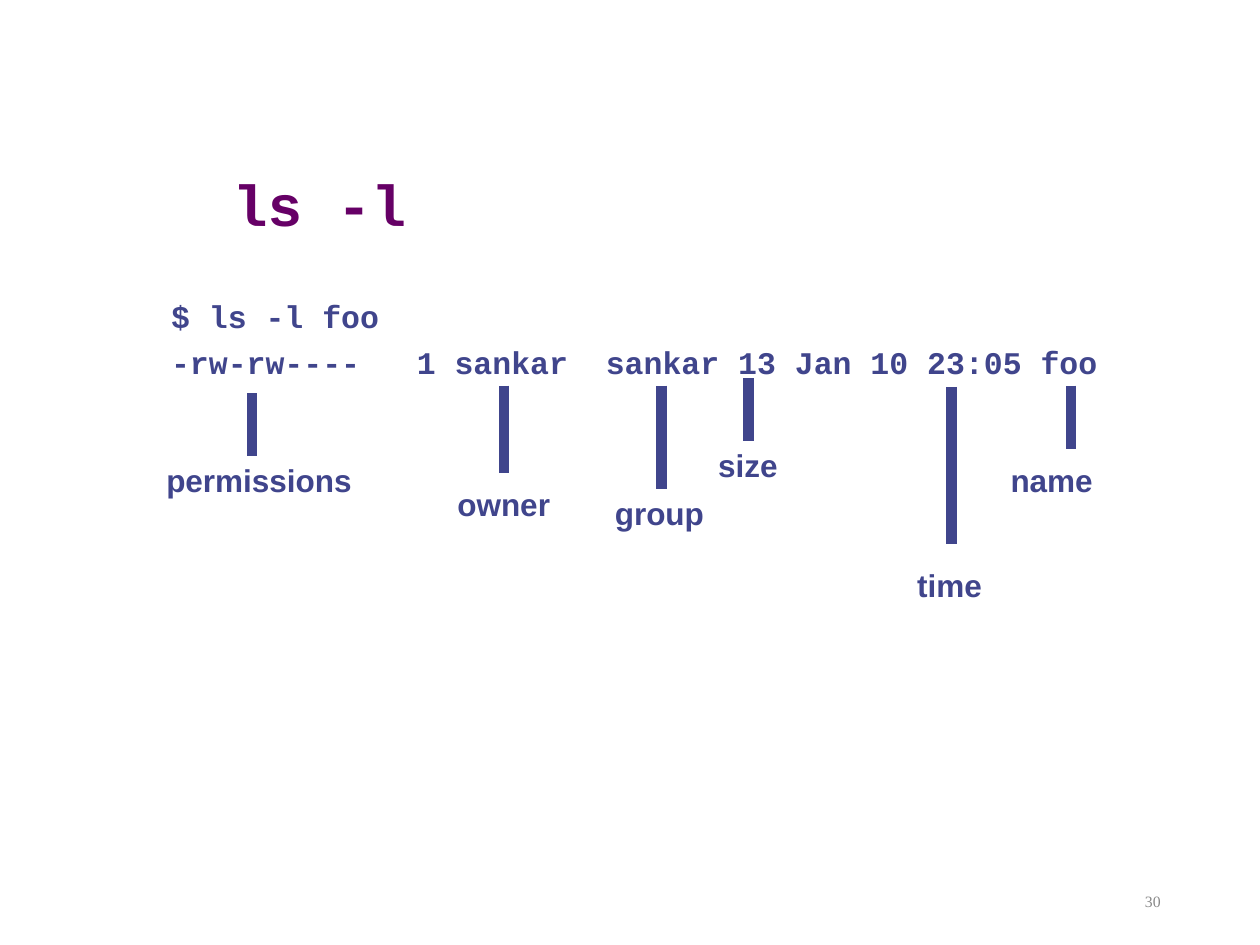
from pptx import Presentation
from pptx import util as u
from pptx.dml.color import RGBColor
from pptx.enum import shapes, text
from pptx.oxml import xmlchemy

PURPLE = RGBColor(0x66, 0x00, 0x66)
INDIGO = RGBColor(0x40, 0x45, 0x8C)
GREY = RGBColor(0x89, 0x89, 0x89)

TITLE_FONT = {"name": "Courier New", "size": u.Pt(33), "bold": True}
CODE_FONT = {"name": "Courier New", "size": u.Pt(18), "bold": True}
LABEL_FONT = {"name": "Arial", "size": u.Pt(18), "bold": True}
NUMBER_FONT = {"name": "Times New Roman", "size": u.Pt(9)}

LISTING = ["$ ls -l foo", "-rw-rw----   1 sankar  sankar 13 Jan 10 23:05 foo"]

# label, label box (left, top, width), pointer (x, top, bottom)
FIELDS = [
    ("permissions", (1.25, 3.62, 1.64), (2, 3.12, 3.62)),
    ("owner", (3.56, 3.81, 0.89), (4, 3.06, 3.75)),
    ("group", (4.81, 3.88, 0.86), (5.25, 3.06, 3.88)),
    ("size", (5.63, 3.5, 0.62), (5.94, 3, 3.5)),
    ("time", (7.21, 4.45, 0.67), (7.55, 3.07, 4.32)),
    ("name", (7.95, 3.62, 0.81), (8.5, 3.06, 3.56)),
]
LABEL_HEIGHT = 0.38


def set_attributes(target, values):
    for name, value in values.items():
        setattr(target, name, value)


def add_text(slide, box, lines, font, color, **frame_format):
    """Place lines of text in a box; return the paragraphs."""
    shape = slide.shapes.add_textbox(*(u.Inches(value) for value in box))
    frame = shape.text_frame
    set_attributes(frame, {"word_wrap": True, **frame_format})
    frame.text = "\n".join(lines)
    for paragraph in frame.paragraphs:
        set_attributes(paragraph.font, font)
        paragraph.font.color.rgb = color
    return frame.paragraphs


def add_title(slide, box):
    add_text(slide, box, ["ls -l"], TITLE_FONT, PURPLE,
             vertical_anchor=text.MSO_ANCHOR.BOTTOM)


def add_listing(slide, box):
    paragraphs = add_text(slide, box, LISTING, CODE_FONT, INDIGO)
    for paragraph in paragraphs:
        properties = paragraph._p.get_or_add_pPr()
        properties.set("marL", str(u.Inches(0.38)))
        properties.set("indent", str(u.Inches(-0.37)))
    for paragraph in paragraphs[1:]:
        paragraph.space_before = u.Pt(4.5)


def add_pointer(slide, x, top, bottom):
    line = slide.shapes.add_connector(
        shapes.MSO_CONNECTOR.STRAIGHT,
        u.Inches(x), u.Inches(top), u.Inches(x), u.Inches(bottom))
    line.line.color.rgb = INDIGO
    line.line.width = u.Pt(6)
    line._element.spPr.append(xmlchemy.OxmlElement("a:effectLst"))


def add_field(slide, label, label_box, pointer):
    """Name one field of the listing and point to it."""
    add_text(slide, (*label_box, LABEL_HEIGHT), [label], LABEL_FONT, INDIGO,
             word_wrap=False, auto_size=text.MSO_AUTO_SIZE.SHAPE_TO_FIT_TEXT,
             margin_left=u.Inches(0.07), margin_right=u.Inches(0.07),
             margin_top=u.Inches(0.04), margin_bottom=u.Inches(0.04))
    add_pointer(slide, *pointer)


def add_slide_number(slide, box):
    paragraphs = add_text(slide, box, ["30"], NUMBER_FONT, GREY,
                          vertical_anchor=text.MSO_ANCHOR.MIDDLE)
    paragraphs[0].alignment = text.PP_ALIGN.RIGHT


def main():
    presentation = Presentation()
    presentation.slide_width = u.Inches(10)
    presentation.slide_height = u.Inches(7.5)
    slide = presentation.slides.add_slide(presentation.slide_layouts[6])

    add_title(slide, (1.75, 1.19, 6.38, 0.75))
    add_listing(slide, (1.25, 2.31, 8.17, 1.76))
    for field in FIELDS:
        add_field(slide, *field)
    add_slide_number(slide, (7.06, 6.95, 2.25, 0.4))

    presentation.save("out.pptx")


if __name__ == "__main__":
    main()
